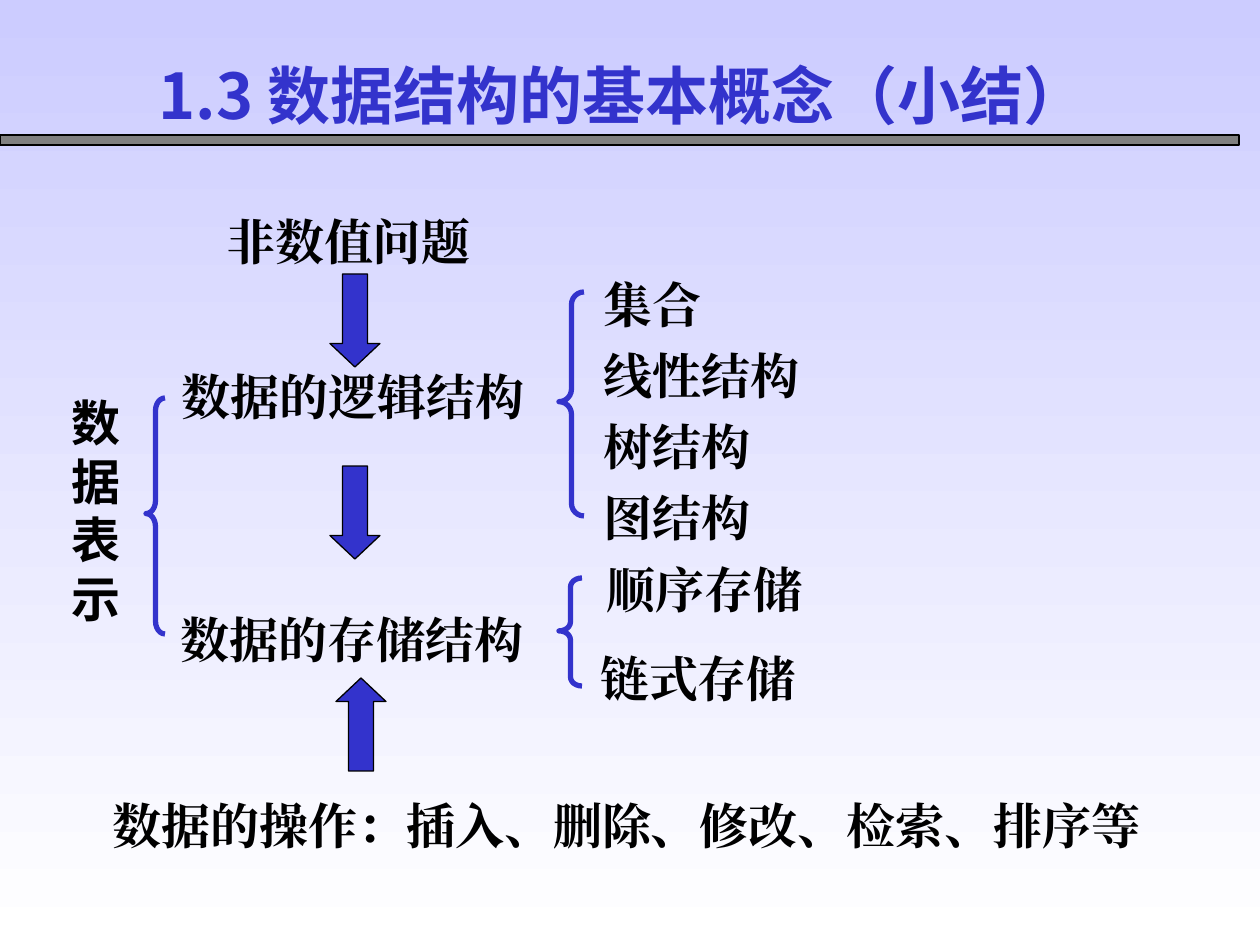
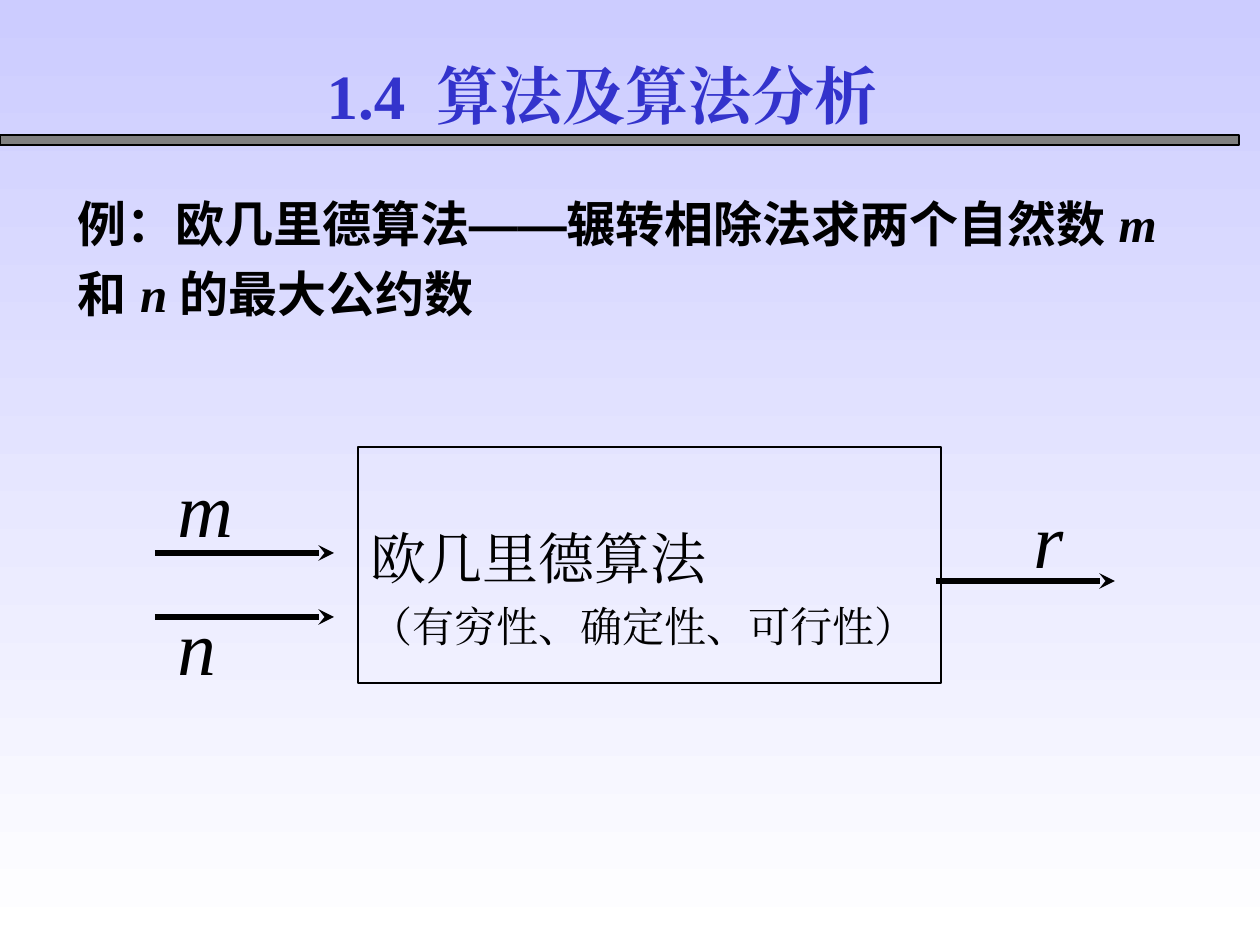
import pptx
import pptx.util
import pptx.dml.color
import pptx.enum.shapes
import pptx.enum.text
import pptx.oxml.ns
import lxml.etree

HUE = {"blue": "3333CC", "pale": "CCCCFF", "white": "FFFFFF",
       "grey": "808080", "black": "000000"}
SCALE = 914400 / 126
SERIF, SANS, CJK = "Times New Roman", "Arial", "Noto Sans CJK SC"
Pt = pptx.util.Pt
rgb = {name: pptx.dml.color.RGBColor.from_string(code) for name, code in HUE.items()}
kind = pptx.enum.shapes.MSO_SHAPE
align = pptx.enum.text.PP_ALIGN
qn = pptx.oxml.ns.qn


def px(*nums):
    """Turn px lengths into EMU."""
    return [round(num * SCALE) for num in nums]


def write(shape, paras, size, font=SERIF, hue="black", bold=True, side=align.LEFT,
          gap=0, lead=None, wrap=True, fit=True):
    """Fill a shape; each paragraph is a list of (text, changes) runs."""
    frame = shape.text_frame
    frame.word_wrap = wrap
    auto = pptx.enum.text.MSO_AUTO_SIZE
    frame.auto_size = auto.SHAPE_TO_FIT_TEXT if fit else auto.NONE
    frame.vertical_anchor = pptx.enum.text.MSO_ANCHOR.TOP
    for at, runs in enumerate(paras):
        para = frame.add_paragraph() if at else frame.paragraphs[0]
        props = para._p.get_or_add_pPr()
        props.set("marL", "0")
        props.set("indent", "0")
        para.alignment = side
        para.space_before = Pt(gap if at else 0)
        if lead:
            para.line_spacing = lead
        lxml.etree.SubElement(props, qn("a:buNone"))
        for text, diff in runs:
            run = para.add_run()
            run.text = text
            face = diff.get("font", font)
            run.font.name = face
            run.font.size = Pt(diff.get("size", size))
            run.font.bold = bold
            run.font.italic = diff.get("italic", False)
            run.font.color.rgb = rgb[hue]
            east = lxml.etree.SubElement(run._r.get_or_add_rPr(), qn("a:ea"))
            east.set("typeface", face)


deck = pptx.Presentation()
deck.slide_width, deck.slide_height = px(1260, 945)

# Shared background, band and titles
fill = deck.slide_master.background.fill
fill.gradient()
fill.gradient_angle = 270
for stop, name in zip(fill.gradient_stops, ("pale", "white")):
    stop.color.rgb = rgb[name]

heads = [("1.3 数据结构的基本概念（小结）", CJK, (146, 50, 1065, 88)),
         ("1.4  算法及算法分析", SERIF, (314, 50, 688, 88))]
pages = []
for text, font, box in heads:
    page = deck.slides.add_slide(deck.slide_layouts[1])
    title = page.shapes.title
    title.left, title.top, title.width, title.height = px(*box)
    write(title, [[(text, {})]], 36, font, "blue")
    pages.append(page)
first, second = pages

band = first.shapes.add_shape(kind.RECTANGLE, *px(0, 135, 1239, 10))
band.shadow.inherit = False
band.fill.solid()
band.fill.fore_color.rgb = rgb["grey"]
band.line.color.rgb = rgb["black"]
band.line.width = Pt(0.75)
band.element.nvSpPr.cNvPr.set("id", "20")
deck.slide_master.shapes.element.append(band.element)

# Slide 1: structure kinds, labels, arrows and braces
body = first.placeholders[1]
body.left, body.top, body.width, body.height = px(591, 268, 316, 285)
kinds = ["集合", "线性结构", "树结构", "图结构"]
write(body, [[(name, {})] for name in kinds], 28, gap=7)

labels = [(["非数值问题"], (189, 205, 319, 72)),
          (["数据的逻辑结构"], (145, 360, 416, 72)),
          (["数据的存储结构"], (144, 603, 416, 72)),
          ([" 顺序存储", "链式存储"], (575, 553, 246, 161)),
          (["数据的操作：插入、删除、修改、检索、排序等"], (88, 789, 1077, 72))]
for lines, box in labels:
    label = first.shapes.add_textbox(*px(*box))
    write(label, [[(line, {})] for line in lines], 28,
          side=align.CENTER, gap=17.5, wrap=False)
side = first.shapes.add_textbox(*px(59, 386, 81, 248))
write(side, [[("数据表示", {})]], 28, CJK)

for left, top, turn in [(330, 274, 0), (330, 466, 0), (336, 678, 180)]:
    arrow = first.shapes.add_shape(kind.DOWN_ARROW, *px(left, top, 50, 93))
    arrow.shadow.inherit = False
    arrow.adjustments[1] = 0.47
    arrow.rotation = turn
    arrow.fill.solid()
    arrow.fill.fore_color.rgb = rgb["blue"]
    arrow.line.color.rgb = rgb["black"]
    arrow.line.width = Pt(0.75)

for box, curve in [((559, 578, 23, 108), 0.39), ((559, 292, 25, 224), 0.5),
                   ((146, 398, 19, 236), 0.67)]:
    brace = first.shapes.add_shape(kind.LEFT_BRACE, *px(*box))
    brace.shadow.inherit = False
    brace.adjustments[0] = curve
    brace.adjustments[1] = 0.49
    brace.fill.background()
    brace.line.color.rgb = rgb["blue"]
    brace.line.width = Pt(3)

# Slide 2: example, algorithm box, inputs and output
body = second.placeholders[1]
body.left, body.top, body.width, body.height = px(65, 175, 1123, 154)
var = {"font": SERIF, "italic": True}
write(body, [[("例：欧几里德算法——辗转相除法求两个自然数 ", {}), ("m ", var),
              ("和 ", {}), ("n ", var), ("的最大公约数", {})]], 28, SANS, lead=1.2)

algo = second.shapes.add_shape(kind.RECTANGLE, *px(358, 447, 583, 236))
algo.shadow.inherit = False
algo.fill.background()
algo.line.color.rgb = rgb["black"]
algo.line.width = Pt(0.75)
algo.text_frame.margin_top = px(76)[0]
write(algo, [[("欧几里德算法", {})], [("（有穷性、确定性、可行性）", {"size": 24})]],
      32, bold=False, gap=6, fit=False)

flows = [("m", (165, 454), (155, 553)), ("n", (165, 592), (155, 617)),
         ("r", (1021, 485), (936, 581))]
for name, spot, (left, top) in flows:
    line = second.shapes.add_connector(pptx.enum.shapes.MSO_CONNECTOR.STRAIGHT,
                                       *px(left, top, left + 179, top))
    line.line.color.rgb = rgb["black"]
    line.line.width = Pt(3)
    tip = lxml.etree.SubElement(line.line._get_or_add_ln(), qn("a:tailEnd"))
    tip.set("type", "stealth")
    lxml.etree.SubElement(line.element.spPr, qn("a:effectLst"))
    label = second.shapes.add_textbox(*px(*spot, 100, 106))
    write(label, [[(name, {"italic": True})]], 44, bold=False)

deck.save("out.pptx")
